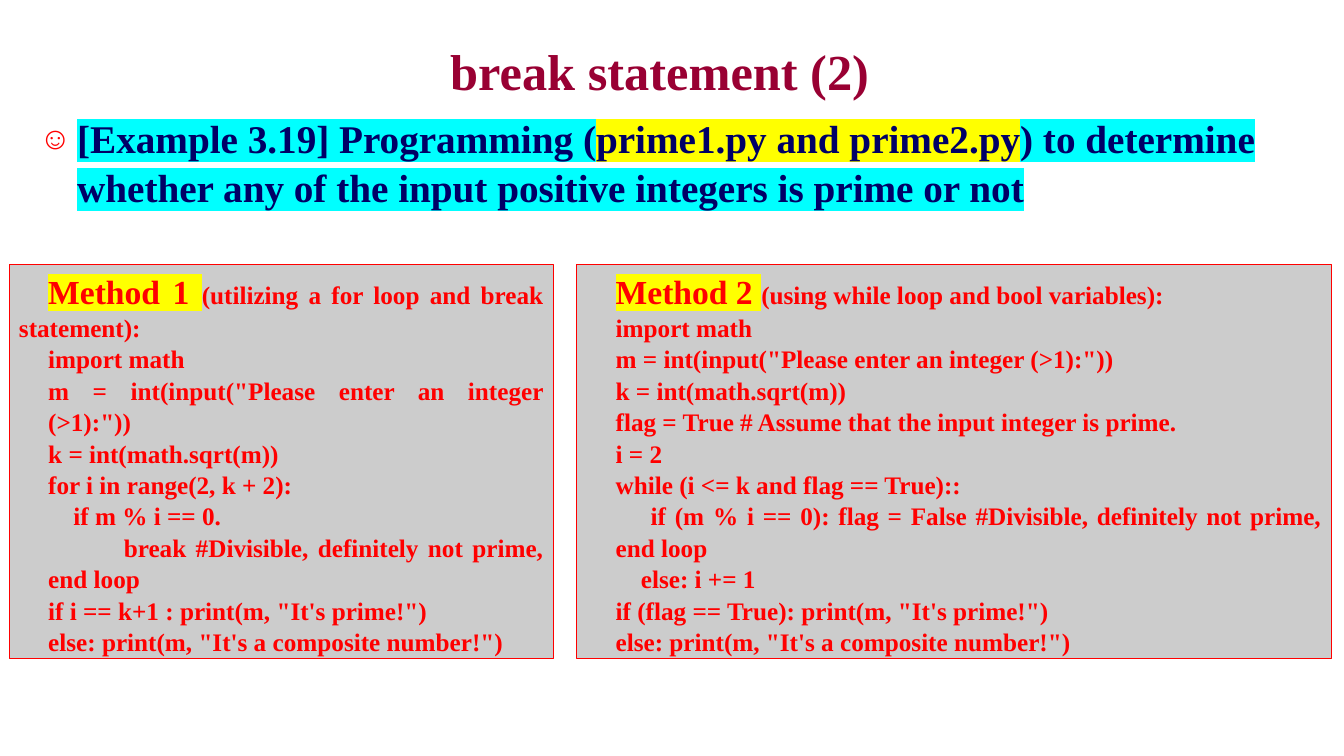
"""Build the slide on the break statement with two prime-number programs."""
import pptx
import pptx.dml.color
import pptx.enum.shapes
import pptx.enum.text
import pptx.oxml
import pptx.oxml.ns
import pptx.util

Pt = pptx.util.Pt
ALIGN = pptx.enum.text.PP_ALIGN
ANCHOR = pptx.enum.text.MSO_ANCHOR
INDENT = 20.9


def rgb(value):
    return pptx.dml.color.RGBColor.from_string(value)


def add_run(p, text, size, color, highlight=None):
    r = p.add_run()
    r.text = text
    r.font.size = Pt(size)
    r.font.bold = True
    r.font.color.rgb = rgb(color)
    if highlight:
        r.font._element.append(pptx.oxml.parse_xml(
            f'<a:highlight {pptx.oxml.ns.nsdecls("a")}>'
            f'<a:srgbClr val="{highlight}"/></a:highlight>'))
    r.font.name = "Times New Roman"


prs = pptx.Presentation()
prs.slide_width, prs.slide_height = Pt(960), Pt(540)
s = prs.slides.add_slide(prs.slide_layouts[1])

title, body = s.placeholders
title.left, title.top, title.width, title.height = Pt(94.3), Pt(30.2), Pt(753.8), Pt(39.6)
tf = title.text_frame
tf.vertical_anchor = ANCHOR.MIDDLE
tf.auto_size = pptx.enum.text.MSO_AUTO_SIZE.NONE
p = tf.paragraphs[0]
p.alignment = ALIGN.CENTER
add_run(p, "break statement (2)", 36, "990033")

body.left, body.top, body.width, body.height = Pt(20.9), Pt(77), Pt(918.7), Pt(442.1)
tf = body.text_frame
tf.auto_size = pptx.enum.text.MSO_AUTO_SIZE.NONE
p = tf.paragraphs[0]
p.line_spacing = 1.04
p.space_after = Pt(6)
pPr = p._p.get_or_add_pPr()
pPr.set("marL", str(Pt(27)))
pPr.set("indent", str(Pt(-27)))
for bullet in ('buClr><a:srgbClr val="FF0000"/></a:buClr>', 'buSzPct val="80000"/>',
               'buChar char="☺"/>'):
    tag, rest = bullet[:5], bullet[5:]
    pPr.append(pptx.oxml.parse_xml(
        f'<a:{bullet}'.replace(">", f' {pptx.oxml.ns.nsdecls("a")}>', 1)
        if tag == "buClr" else
        f'<a:{tag}{rest}'.replace("/>", f' {pptx.oxml.ns.nsdecls("a")}/>')))
for text, highlight in (
        ("[Example 3.19] Programming (", "00FFFF"),
        ("prime1.py and prime2.py", "FFFF00"),
        (") to determine whether any of the input positive integers is prime or not", "00FFFF")):
    add_run(p, text, 28, "000066", highlight)

methods = [
    (6.5, 388.8, "Method 1 ", "(utilizing a for loop and break statement):", [
        (0, "import math"),
        (0, 'm = int(input("Please enter an integer (>1):"))'),
        (0, "k = int(math.sqrt(m))"),
        (0, "for i in range(2, k + 2):"),
        (18, "if m % i == 0."),
        (54, "break #Divisible, definitely not prime, end loop"),
        (0, 'if i == k+1 : print(m, "It\'s prime!")'),
        (0, 'else: print(m, "It\'s a composite number!")')]),
    (411.8, 539.3, "Method 2 ", "(using while loop and bool variables):", [
        (0, "import math"),
        (0, 'm = int(input("Please enter an integer (>1):"))'),
        (0, "k = int(math.sqrt(m))"),
        (0, "flag = True # Assume that the input integer is prime."),
        (0, "i = 2"),
        (0, "while (i <= k and flag == True)::"),
        (25, "if (m % i == 0): flag = False #Divisible, definitely not prime, end loop"),
        (18, "else: i += 1"),
        (0, 'if (flag == True): print(m, "It\'s prime!")'),
        (0, 'else: print(m, "It\'s a composite number!")')]),
]
for left, width, name, summary, code in methods:
    sp = s.shapes.add_shape(pptx.enum.shapes.MSO_SHAPE.RECTANGLE,
                            Pt(left), Pt(188.6), Pt(width), Pt(281.5))
    sp.shadow.inherit = False
    sp.fill.solid()
    sp.fill.fore_color.rgb = rgb("CCCCCC")
    sp.line.color.rgb = rgb("FF0000")
    sp.line.width = Pt(0.75)
    tf = sp.text_frame
    tf.word_wrap = True
    tf.vertical_anchor = ANCHOR.TOP
    p = tf.paragraphs[0]
    add_run(p, name, 24, "FF0000", "FFFF00")
    add_run(p, summary, 18, "FF0000")
    p._p.get_or_add_pPr().set("indent", str(Pt(INDENT)))
    for depth, text in code:
        p = tf.add_paragraph()
        add_run(p, text, 18, "FF0000")
        pPr = p._p.get_or_add_pPr()
        pPr.set("marL", str(Pt(INDENT)))
        pPr.set("indent", str(Pt(depth)))
    for p in tf.paragraphs:
        p.alignment = ALIGN.JUSTIFY
        p.line_spacing = 1.04

prs.save("out.pptx")
